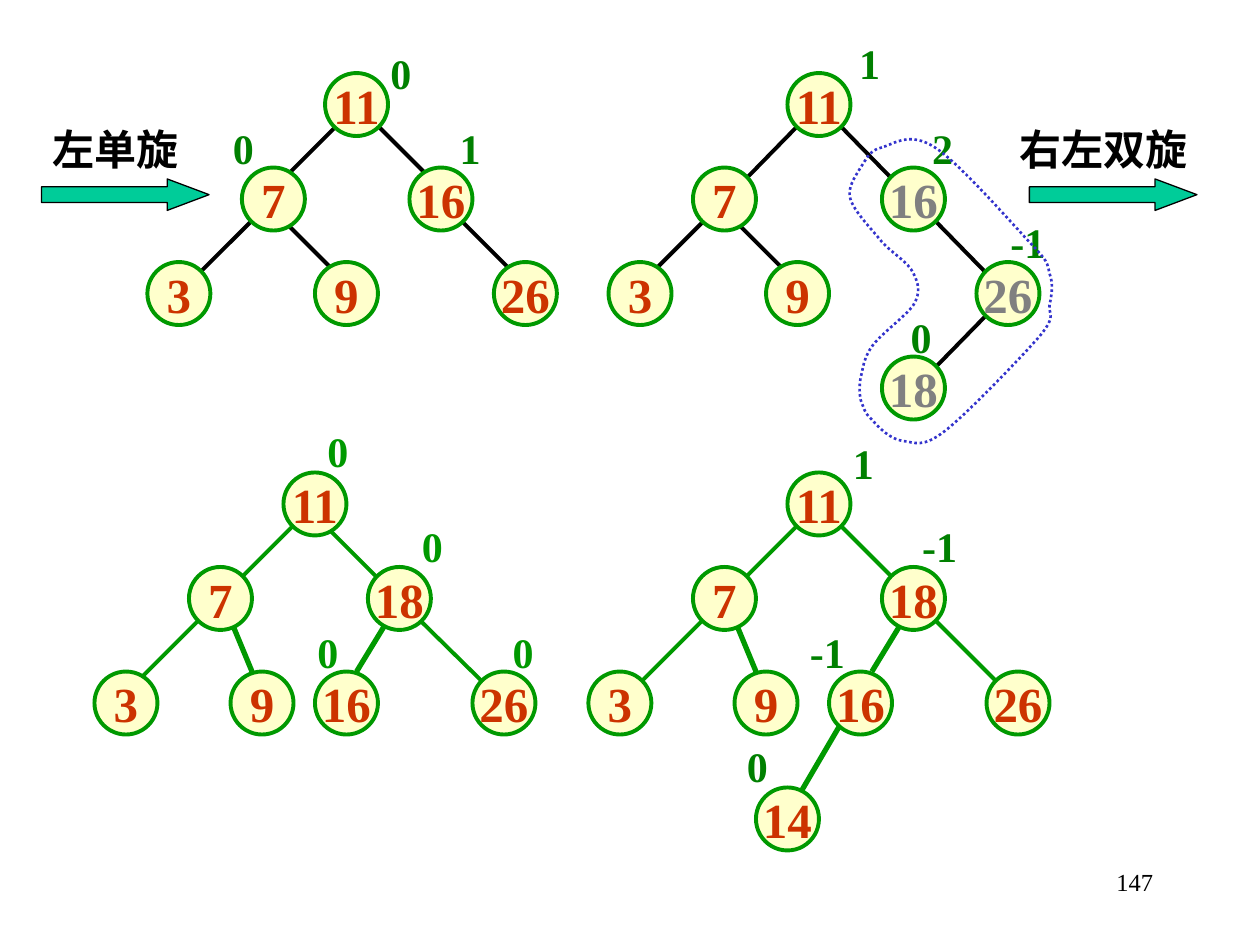
from dataclasses import dataclass

import pptx
import pptx.dml.color
import pptx.enum.dml
import pptx.enum.shapes
import pptx.enum.text
import pptx.oxml
import pptx.oxml.ns
import pptx.shapes.autoshape
import pptx.slide
import pptx.text.text
import pptx.util

Inches = pptx.util.Inches
RGBColor = pptx.dml.color.RGBColor
MSO_SHAPE = pptx.enum.shapes.MSO_SHAPE
PP_ALIGN = pptx.enum.text.PP_ALIGN
AUTO_SIZE = pptx.enum.text.MSO_AUTO_SIZE

BLACK = RGBColor(0x00, 0x00, 0x00)
GREEN = RGBColor(0x00, 0x99, 0x00)
DARK_GREEN = RGBColor(0x00, 0x80, 0x00)
CREAM = RGBColor(0xFF, 0xFF, 0xCC)
RED = RGBColor(0xCC, 0x33, 0x00)
GRAY = RGBColor(0x80, 0x80, 0x80)
TEAL = RGBColor(0x00, 0xCC, 0x99)
BLUE = RGBColor(0x33, 0x33, 0xCC)
NODE_SIZE = 0.5
THIN, THICK = 2.25, 3


@dataclass
class Node:
    key: int
    left: float
    top: float
    color: RGBColor = RED


@dataclass
class Edge:
    x1: float
    y1: float
    x2: float
    y2: float
    weight: float = THIN


@dataclass
class Label:
    text: str
    left: float
    top: float
    width: float = 0.37
    wrap: bool = False


@dataclass
class Tree:
    edge_color: RGBColor
    balance_color: RGBColor
    edges: list[Edge]
    nodes: list[Node]
    balances: list[Label]


@dataclass
class Rotation:
    name: Label
    arrow_left: float


TREES = [
    Tree(BLACK, DARK_GREEN,
         [Edge(2.67, 1, 2.25, 1.42), Edge(2.92, 0.92, 3.42, 1.42), Edge(2, 1.75, 1.58, 2.17),
          Edge(2.25, 1.75, 2.75, 2.25), Edge(3.58, 1.67, 4.08, 2.17)],
         [Node(11, 2.58, 0.58), Node(7, 1.92, 1.33), Node(16, 3.25, 1.33),
          Node(3, 1.17, 2.08), Node(9, 2.5, 2.08), Node(26, 3.92, 2.08)],
         [Label("0", 3, 0.33), Label("0", 1.75, 0.92), Label("1", 3.55, 0.92)]),
    Tree(BLACK, DARK_GREEN,
         [Edge(6.33, 1, 5.92, 1.42), Edge(6.67, 1, 7.08, 1.42), Edge(5.67, 1.67, 5.17, 2.17),
          Edge(5.83, 1.75, 6.25, 2.17), Edge(7.42, 1.75, 7.83, 2.17), Edge(7.83, 2.5, 7.42, 2.92)],
         [Node(11, 6.25, 0.58), Node(7, 5.5, 1.33), Node(16, 7, 1.33, GRAY), Node(3, 4.83, 2.08),
          Node(9, 6.08, 2.08), Node(26, 7.75, 2.08, GRAY), Node(18, 7, 2.83, GRAY)],
         [Label("1", 6.72, 0.25), Label("2", 7.3, 0.92), Label("-1", 7.92, 1.67, 0.68, True),
          Label("0", 7.13, 2.42)]),
    Tree(GREEN, GREEN,
         [Edge(2.33, 4.17, 1.92, 4.58), Edge(2.58, 4.17, 3.08, 4.67), Edge(1.58, 4.92, 1.08, 5.42),
          Edge(1.83, 4.92, 2, 5.33, THICK), Edge(3.08, 4.92, 2.83, 5.33, THICK),
          Edge(3.33, 4.92, 3.92, 5.5)],
         [Node(11, 2.25, 3.75), Node(7, 1.5, 4.5), Node(18, 2.92, 4.5), Node(3, 0.75, 5.33),
          Node(9, 1.83, 5.33), Node(16, 2.5, 5.33), Node(26, 3.75, 5.33)],
         [Label("0", 2.5, 3.33), Label("0", 3.25, 4.08), Label("0", 2.42, 4.92),
          Label("0", 3.97, 4.92)]),
    Tree(GREEN, DARK_GREEN,
         [Edge(6.33, 4.17, 5.83, 4.67), Edge(6.67, 4.17, 7.25, 4.75), Edge(5.67, 4.83, 4.92, 5.58),
          Edge(5.83, 4.92, 6, 5.33, THICK), Edge(7.17, 4.92, 6.92, 5.33, THICK),
          Edge(7.42, 4.92, 8, 5.5), Edge(6.67, 5.75, 6.33, 6.33, THICK)],
         [Node(11, 6.25, 3.75), Node(7, 5.5, 4.5), Node(18, 7, 4.5), Node(3, 4.67, 5.33),
          Node(9, 5.83, 5.33), Node(16, 6.58, 5.33), Node(26, 7.83, 5.33), Node(14, 6, 6.25)],
         [Label("1", 6.67, 3.42), Label("-1", 7.22, 4.08, 0.6, True),
          Label("-1", 6.33, 4.92, 0.6, True), Label("0", 5.83, 5.83)]),
]
ROTATIONS = [
    Rotation(Label("左单旋", 0.32, 0.93, 1.27, True), 0.33),
    Rotation(Label("右左双旋", 7.99, 0.93, 1.61, True), 8.17),
]
LOOP_UNIT = Inches(0.01)
LOOP_START = (700, 117)
LOOP_CONTROLS = [
    (690, 119), (688, 126), (683, 133), (679, 140), (672, 149), (675, 158),
    (678, 168), (692, 182), (700, 192), (708, 201), (721, 208), (725, 217),
    (729, 225), (731, 232), (725, 242), (719, 251), (699, 265), (692, 275),
    (685, 285), (685, 293), (683, 300), (682, 307), (682, 311), (683, 317),
    (685, 322), (686, 328), (692, 333), (697, 339), (707, 349), (717, 350),
    (726, 351), (732, 356), (750, 342), (768, 328), (811, 283), (825, 267),
    (839, 250), (832, 250), (833, 242), (835, 233), (836, 225), (833, 217),
    (831, 208), (832, 208), (817, 192), (801, 175), (761, 129), (742, 117),
    (722, 104), (710, 114), LOOP_START,
]


def write(frame: pptx.text.text.TextFrame, text: str, size: float, color: RGBColor,
          bold: bool = True, align: PP_ALIGN = PP_ALIGN.LEFT) -> None:
    paragraph = frame.paragraphs[0]
    paragraph.alignment = align
    run = paragraph.add_run()
    run.text = text
    styles = {"name": "Times New Roman", "size": pptx.util.Pt(size), "bold": bold}
    for attribute, value in styles.items():
        setattr(run.font, attribute, value)
    run.font.color.rgb = color


def add_label(slide: pptx.slide.Slide, label: Label, color: RGBColor) -> None:
    box = slide.shapes.add_textbox(
        Inches(label.left), Inches(label.top), Inches(label.width), Inches(0.5))
    for attribute, value in {"word_wrap": label.wrap,
                             "auto_size": AUTO_SIZE.SHAPE_TO_FIT_TEXT}.items():
        setattr(box.text_frame, attribute, value)
    write(box.text_frame, label.text, 24, color)


def add_filled(slide: pptx.slide.Slide, kind: MSO_SHAPE, left: float, top: float, width: float,
               height: float, fill: RGBColor, line: RGBColor,
               weight: float) -> pptx.shapes.autoshape.Shape:
    shape = slide.shapes.add_shape(
        kind, Inches(left), Inches(top), Inches(width), Inches(height))
    shape.shadow.inherit = False
    shape.fill.solid()
    shape.fill.fore_color.rgb = fill
    shape.line.color.rgb = line
    shape.line.width = pptx.util.Pt(weight)
    return shape


def add_edge(slide: pptx.slide.Slide, edge: Edge, color: RGBColor) -> None:
    branch = slide.shapes.add_connector(
        pptx.enum.shapes.MSO_CONNECTOR.STRAIGHT,
        Inches(edge.x1), Inches(edge.y1), Inches(edge.x2), Inches(edge.y2))
    branch.line.color.rgb = color
    branch.line.width = pptx.util.Pt(edge.weight)
    branch.element.spPr.append(pptx.oxml.parse_xml(
        f"<a:effectLst {pptx.oxml.ns.nsdecls('a')}/>"))


def add_node(slide: pptx.slide.Slide, node: Node) -> None:
    circle = add_filled(slide, MSO_SHAPE.OVAL, node.left, node.top, NODE_SIZE, NODE_SIZE,
                        CREAM, GREEN, THIN)
    for attribute, value in {"word_wrap": False,
                             "vertical_anchor": pptx.enum.text.MSO_ANCHOR.MIDDLE}.items():
        setattr(circle.text_frame, attribute, value)
    write(circle.text_frame, str(node.key), 28, node.color, align=PP_ALIGN.CENTER)


def add_tree(slide: pptx.slide.Slide, tree: Tree) -> None:
    for edge in tree.edges:
        add_edge(slide, edge, tree.edge_color)
    for node in tree.nodes:
        add_node(slide, node)
    for balance in tree.balances:
        add_label(slide, balance, tree.balance_color)


def add_rotation(slide: pptx.slide.Slide, rotation: Rotation) -> None:
    arrow = add_filled(slide, MSO_SHAPE.RIGHT_ARROW, rotation.arrow_left, 1.42, 1.33, 0.25,
                       TEAL, BLACK, 0.75)
    arrow.adjustments[1] = 1.33
    add_label(slide, rotation.name, BLACK)


def add_loop(slide: pptx.slide.Slide) -> None:
    builder = slide.shapes.build_freeform(*LOOP_START, scale=LOOP_UNIT)
    builder.add_line_segments(LOOP_CONTROLS, close=True)
    loop = builder.convert_to_shape()
    segments = list(loop.element.iter(pptx.oxml.ns.qn("a:lnTo")))
    for first in range(0, len(segments), 3):
        curve = pptx.oxml.parse_xml(f"<a:cubicBezTo {pptx.oxml.ns.nsdecls('a')}/>")
        segments[first].addprevious(curve)
        for segment in segments[first:first + 3]:
            curve.append(segment[0])
            segment.getparent().remove(segment)
    loop.shadow.inherit = False
    loop.fill.background()
    loop.line.color.rgb = BLUE
    for attribute, value in {"width": pptx.util.Pt(1.5),
                             "dash_style": pptx.enum.dml.MSO_LINE.ROUND_DOT}.items():
        setattr(loop.line, attribute, value)


def main() -> None:
    """Build the slide of AVL tree insertions and rotations."""
    deck = pptx.Presentation()
    deck.slide_width, deck.slide_height = Inches(10), Inches(7.5)
    slide = deck.slides.add_slide(deck.slide_layouts[6])
    for tree in TREES:
        add_tree(slide, tree)
    for rotation in ROTATIONS:
        add_rotation(slide, rotation)
    add_loop(slide)
    page = slide.shapes.add_textbox(Inches(7.17), Inches(6.83), Inches(2.08), Inches(0.5))
    page.text_frame.word_wrap = True
    write(page.text_frame, "147", 14, BLACK, bold=False, align=PP_ALIGN.RIGHT)
    deck.save("out.pptx")


if __name__ == "__main__":
    main()
